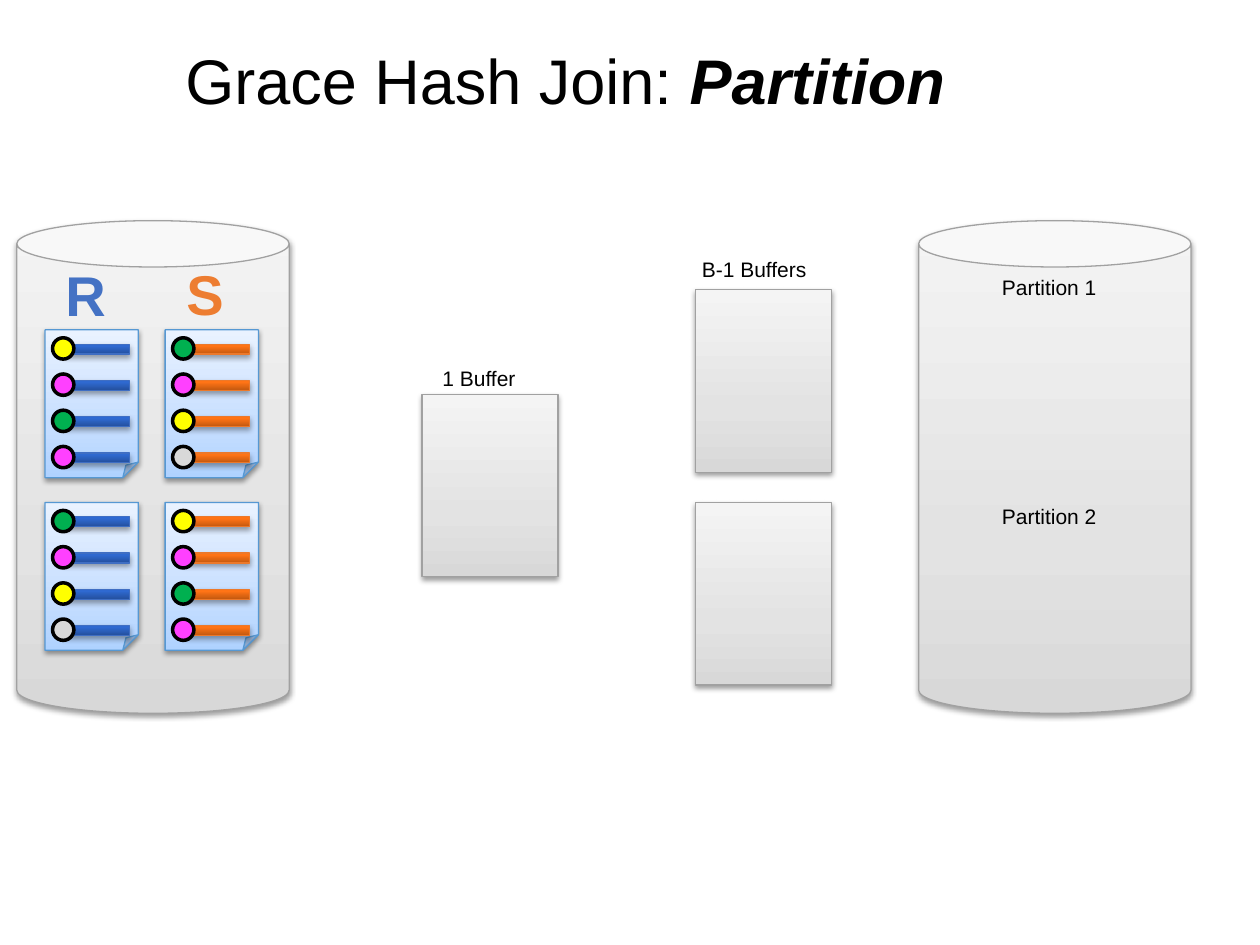
from typing import NamedTuple

from lxml.etree import SubElement
from pptx import Presentation
from pptx.dml.color import RGBColor
from pptx.enum.shapes import MSO_SHAPE as Shape
from pptx.enum.text import MSO_ANCHOR as Anchor, MSO_AUTO_SIZE as AutoSize
from pptx.oxml.ns import qn
from pptx.util import Cm, Pt

COLORS = {
    "black": "000000", "gray_line": "A1A1A1", "page_line": "5698D3",
    "r": "4472C4", "r_line": "3F6EC3", "s": "ED7D31", "s_line": "EC792B",
    "green": "00B050", "pink": "FF40FF", "yellow": "FFFF00", "gray": "D9D9D9",
}
GRADIENTS = {
    "gray": {0: "D8D8D8", 35: "E3E3E3", 100: "F4F4F4"},
    "page": {0: "AFD2FF", 35: "C6DEFF", 100: "E9F2FF"},
    "r": {0: "24509E", 80: "2F69D0", 100: "2C69D4"},
    "s": {0: "C3580F", 80: "FF7416", 100: "FF7517"},
}


class Box(NamedTuple):
    left: float
    top: float
    width: float
    height: float

    def lengths(self) -> tuple:
        return tuple(Cm(v) for v in self)


class Run(NamedTuple):
    text: str
    size: int = 12
    color: str = "black"
    bold: bool = False
    italic: bool = False


class Label(NamedTuple):
    box: Box
    runs: list[Run]


class Page(NamedTuple):
    left: float
    top: float
    relation: str
    keys: str


CYLINDERS = [Box(left, 4.45, 5.49, 9.93) for left in (0.34, 18.52)]
BUFFERS = [Box(left, top, 2.74, 3.68)
           for left, top in ((14.02, 5.84), (14.02, 10.13), (8.51, 7.95))]
PAGES = [
    Page(3.33, 6.65, "s", "green pink yellow gray"),
    Page(3.33, 10.13, "s", "yellow pink green pink"),
    Page(0.91, 10.13, "r", "green pink yellow gray"),
    Page(0.91, 6.65, "r", "yellow pink green pink"),
]
LABELS = [
    Label(Box(14.02, 5.05, 2.44, 0.74), [Run("B-1 Buffers")]),
    Label(Box(8.79, 7.24, 1.78, 0.74), [Run("1 Buffer")]),
    Label(Box(1.19, 5.13, 1.09, 1.6), [Run("R", 32, "r", True)]),
    Label(Box(3.63, 5.11, 1.02, 1.6), [Run("S", 32, "s", True)]),
    Label(Box(20.07, 5.41, 2.21, 0.74), [Run("Partition 1")]),
    Label(Box(20.07, 10.03, 2.21, 0.74), [Run("Partition 2")]),
]
TITLE = Label(Box(3.61, 0, 19.89, 3.18),
              [Run("Grace Hash Join:", 36), Run(" Partition", 36, "black", True, True)])
RECORD_PITCH = 0.73


def rgb(name: str) -> RGBColor:
    return RGBColor.from_string(COLORS[name])


def add_color(parent, value: str):
    return SubElement(parent, qn("a:srgbClr"), val=value)


def set_gradient(s, name: str) -> None:
    s.fill.gradient()
    s.fill.gradient_angle = 90
    stops = s.element.spPr.find(".//" + qn("a:gsLst"))
    for stop in list(stops):
        stops.remove(stop)
    for position, color in GRADIENTS[name].items():
        add_color(SubElement(stops, qn("a:gs"), pos=str(position * 1000)), color)


def set_shadow(s, distance: float, opacity: int) -> None:
    effects = s.element.spPr.find(qn("a:effectLst"))
    outer = SubElement(effects, qn("a:outerShdw"), blurRad=str(Pt(3)),
                       dist=str(Pt(distance)), dir="5400000", rotWithShape="0")
    color = add_color(outer, COLORS["black"])
    SubElement(color, qn("a:alpha"), val=str(opacity * 1000))


def add_outlined(shapes, kind: Shape, box: Box, line: str, weight: float = 0.75):
    s = shapes.add_shape(kind, *box.lengths())
    s.shadow.inherit = False
    s.line.color.rgb = rgb(line)
    s.line.width = Pt(weight)
    return s


def add_shaded(shapes, kind: Shape, box: Box, gradient: str, line: str,
               distance: float = 1.6, opacity: int = 38):
    s = add_outlined(shapes, kind, box, line)
    set_gradient(s, gradient)
    set_shadow(s, distance, opacity)
    return s


def add_record(shapes, page: Page, top: float, key: str) -> None:
    bar = Box(page.left + 0.38, top + 0.29, 1.32, 0.2)
    add_shaded(shapes, Shape.RECTANGLE, bar, page.relation, f"{page.relation}_line", 1.8, 35)
    dot = add_outlined(shapes, Shape.OVAL, Box(page.left + 0.15, top + 0.16, 0.43, 0.43),
                       "black", 2)
    dot.fill.solid()
    dot.fill.fore_color.rgb = rgb(key)


def add_page(shapes, page: Page) -> None:
    group = shapes.add_group_shape().shapes
    sheet = Box(page.left, page.top, 1.88, 2.98)
    add_shaded(group, Shape.FOLDED_CORNER, sheet, "page", "page_line")
    for i, key in enumerate(page.keys.split()):
        add_record(group, page, page.top + i * RECORD_PITCH, key)


def add_label(shapes, label: Label, wrap: bool = False):
    tf = shapes.add_textbox(*label.box.lengths()).text_frame
    tf.word_wrap = wrap
    tf.auto_size = AutoSize.NONE if wrap else AutoSize.SHAPE_TO_FIT_TEXT
    tf.margin_left = tf.margin_right = tf.margin_top = tf.margin_bottom = Cm(0.13)
    p = tf.paragraphs[0]
    for run in label.runs:
        r = p.add_run()
        r.text = run.text
        r.font.name = "Arial"
        r.font.size = Pt(run.size)
        r.font.bold = run.bold
        r.font.italic = run.italic
        r.font.color.rgb = rgb(run.color)
    return tf


def main() -> None:
    prs = Presentation()
    prs.slide_width, prs.slide_height = Cm(25.4), Cm(19.05)
    shapes = prs.slides.add_slide(prs.slide_layouts[6]).shapes
    for box in CYLINDERS:
        s = add_shaded(shapes, Shape.CAN, box, "gray", "gray_line")
        s.adjustments[0] = 0.17
    for box in BUFFERS:
        add_shaded(shapes, Shape.RECTANGLE, box, "gray", "gray_line")
    add_label(shapes, TITLE, wrap=True).vertical_anchor = Anchor.MIDDLE
    for page in PAGES:
        add_page(shapes, page)
    for label in LABELS:
        add_label(shapes, label)
    prs.save("out.pptx")


if __name__ == "__main__":
    main()
